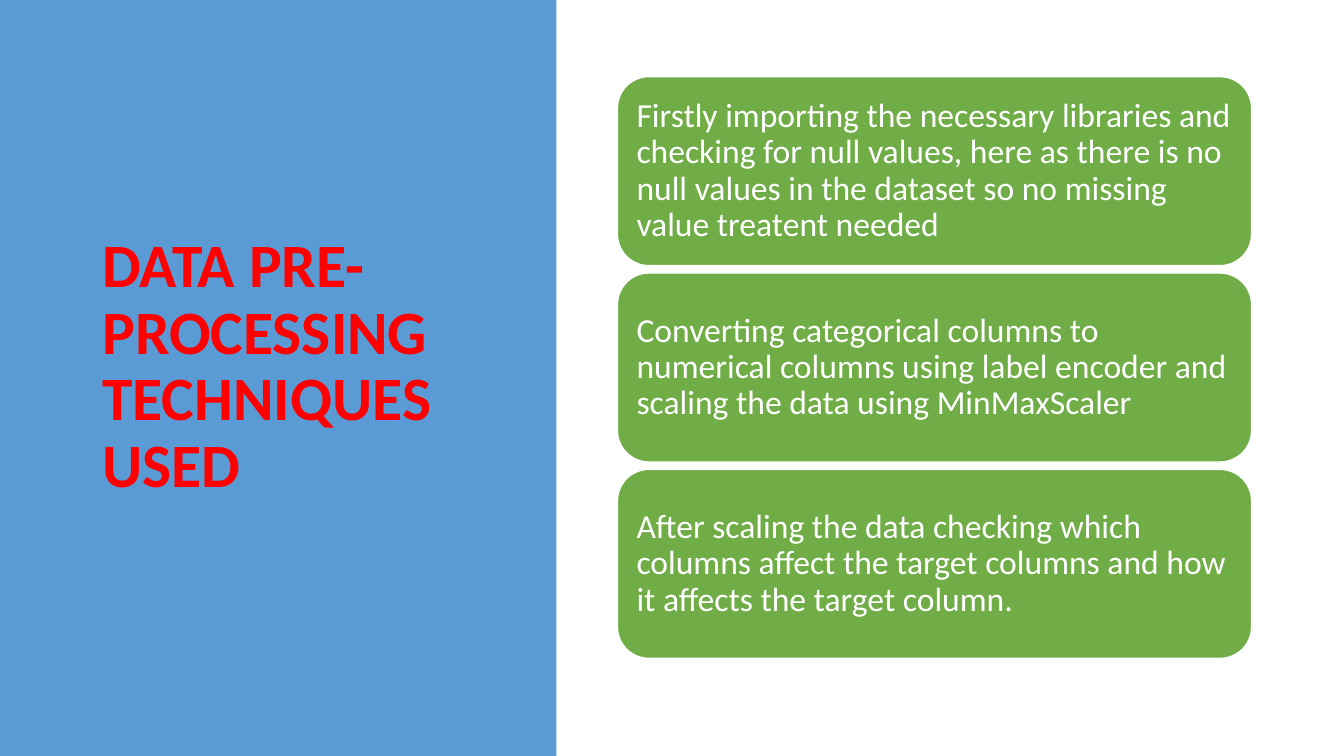
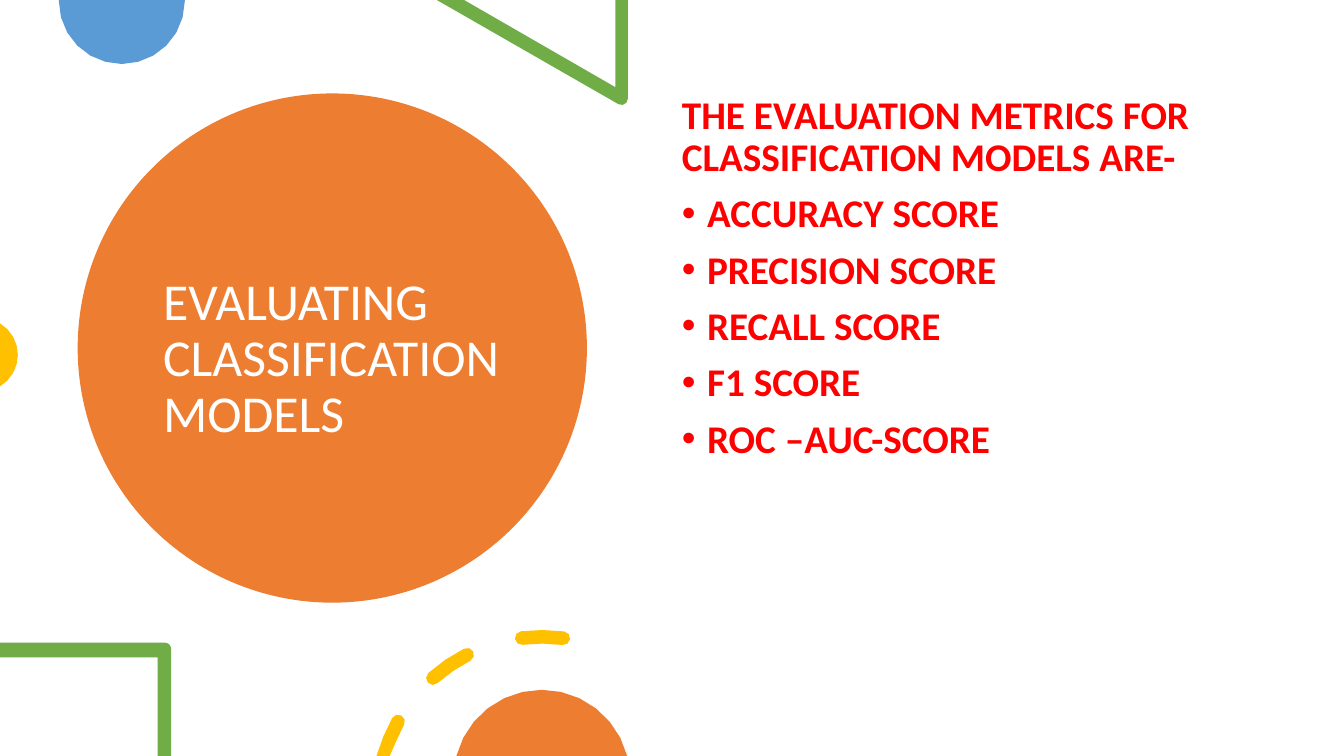
"""Build two slides on data pre-processing and on evaluating classification models."""
from dataclasses import dataclass
from math import cos, radians, sin

from lxml.etree import SubElement
from pptx import Presentation
from pptx.dml.color import RGBColor
from pptx.enum.shapes import MSO_SHAPE
from pptx.enum.text import MSO_ANCHOR, PP_ALIGN
from pptx.oxml.ns import qn
from pptx.util import Pt

PX = 9525
SLIDE_WIDTH, SLIDE_HEIGHT = 1280, 720


@dataclass(frozen=True)
class Theme:
    font: str = "Calibri"
    blue: RGBColor = RGBColor(0x5B, 0x9B, 0xD5)
    green: RGBColor = RGBColor(0x70, 0xAD, 0x47)
    orange: RGBColor = RGBColor(0xED, 0x7D, 0x31)
    yellow: RGBColor = RGBColor(0xFF, 0xC0, 0x00)
    red: RGBColor = RGBColor(0xFF, 0x00, 0x00)
    white: RGBColor = RGBColor(0xFF, 0xFF, 0xFF)
    large_title: Pt = Pt(44)
    circle_title: Pt = Pt(37)
    body: Pt = Pt(28)
    card: Pt = Pt(24)
    line_spacing: float = 0.9


theme = Theme()


def arc(center, radius, start, end, steps):
    """Return points along an arc, with angles in degrees clockwise from the right."""
    angles = [radians(start + (end - start) * step / steps) for step in range(steps + 1)]
    return [(center[0] + radius * cos(angle), center[1] + radius * sin(angle)) for angle in angles]


def write(box, lines, size, color, bold=False, anchor=MSO_ANCHOR.MIDDLE):
    """Fill a box with left-aligned paragraphs in the theme font."""
    frame = box.text_frame
    frame.word_wrap = True
    frame.vertical_anchor = anchor
    frame.text = "\n".join(lines)
    for para in frame.paragraphs:
        para.alignment = PP_ALIGN.LEFT
        para.line_spacing = theme.line_spacing
        for span in para.runs:
            span.font.name = theme.font
            span.font.size = size
            span.font.bold = bold
            span.font.color.rgb = color
    return frame


deck = Presentation()
deck.slide_width, deck.slide_height = SLIDE_WIDTH * PX, SLIDE_HEIGHT * PX
blank = deck.slide_layouts[6]

page = deck.slides.add_slide(blank)
band = page.shapes.add_shape(MSO_SHAPE.RECTANGLE, 0, 0, 530 * PX, SLIDE_HEIGHT * PX)
band.shadow.inherit = False
band.fill.solid()
band.fill.fore_color.rgb = theme.blue
band.line.fill.background()

title = page.shapes.add_textbox(88 * PX, 66 * PX, 396 * PX, 568 * PX)
write(title, ["DATA PRE-PROCESSING TECHNIQUES USED"], theme.large_title, theme.red, bold=True)

techniques = [
    "Firstly importing the necessary libraries and checking for null values, here as there is no "
    "null values in the dataset so no missing value treatent needed",
    "Converting categorical columns to numerical columns using label encoder and scaling the data "
    "using MinMaxScaler",
    "After scaling the data checking which columns affect the target columns and how it affects "
    "the target column.",
]
card_top, card_height, card_gap = 73, 180, 7
for index, technique in enumerate(techniques):
    top = card_top + index * (card_height + card_gap)
    card = page.shapes.add_shape(
        MSO_SHAPE.ROUNDED_RECTANGLE, 588 * PX, top * PX, 604 * PX, card_height * PX)
    card.shadow.inherit = False
    card.fill.solid()
    card.fill.fore_color.rgb = theme.green
    card.line.color.rgb = theme.white
    card.line.width = Pt(1)
    write(card, [technique], theme.card, theme.white)

page = deck.slides.add_slide(blank)
disc = page.shapes.add_shape(MSO_SHAPE.OVAL, 74 * PX, 89 * PX, 485 * PX, 485 * PX)
disc.shadow.inherit = False
disc.fill.solid()
disc.fill.fore_color.rgb = theme.orange
disc.line.fill.background()

title = page.shapes.add_textbox(146 * PX, 129 * PX, 340 * PX, 427 * PX)
write(title, ["EVALUATING CLASSIFICATION MODELS"], theme.circle_title, theme.white)

ring_center, inner_radius, outer_radius = (516, 763), 150, 163
ring_radius, cap_radius = (inner_radius + outer_radius) / 2, (outer_radius - inner_radius) / 2
dashes = []
for start, end in [(195, 209), (228.5, 243), (263, 277.5)]:
    tail, head = arc(ring_center, ring_radius, start, end, 1)
    outline = (
        arc(ring_center, outer_radius, start, end, 2)
        + arc(head, cap_radius, end, end + 180, 4)[1:-1]
        + arc(ring_center, inner_radius, end, start, 2)
        + arc(tail, cap_radius, start + 180, start + 360, 4)[1:-1]
    )
    dashes.append([(x, min(y, SLIDE_HEIGHT)) for x, y in outline])

top_disc = arc((116, 1), 60, 0, 180, 12) + [(56, 0), (176, 0)]
triangle = [(598, 0), (586, 0), (586, 83), (442, 0), (416, 0)] + arc((592, 94), 6, 120, 0, 3)
left_disc = arc((-18, 338), 35, -59, 59, 8)
frame_corner = [(0, 612), (0, 626), (150, 626), (150, 720), (163, 720)]
frame_corner += arc((157, 618), 6, 0, -90, 3)
bottom_disc = arc((516, 741), 84, 194.5, 345.5, 12)

decorations = [
    (theme.blue, [top_disc]),
    (theme.green, [triangle]),
    (theme.yellow, [left_disc]),
    (theme.green, [frame_corner]),
    (theme.yellow, dashes),
    (theme.orange, [bottom_disc]),
]
for color, contours in decorations:
    contours = [[(max(x, 0) * PX, y * PX) for x, y in contour] for contour in contours]
    builder = page.shapes.build_freeform(*contours[0][0])
    for index, contour in enumerate(contours):
        if index:
            builder.move_to(*contour[0])
        builder.add_line_segments(contour[1:], close=True)
    decoration = builder.convert_to_shape()
    decoration.shadow.inherit = False
    decoration.fill.solid()
    decoration.fill.fore_color.rgb = color
    decoration.line.fill.background()

metrics = [
    "THE EVALUATION METRICS FOR CLASSIFICATION MODELS ARE-",
    "ACCURACY SCORE",
    "PRECISION SCORE",
    "RECALL SCORE",
    "F1 SCORE",
    "ROC –AUC-SCORE",
]
body = page.shapes.add_textbox(640 * PX, 86 * PX, 552 * PX, 514 * PX)
frame = write(body, metrics, theme.body, theme.red, bold=True, anchor=MSO_ANCHOR.TOP)
for para in frame.paragraphs[1:]:
    para.space_before = Pt(10)
    properties = para._p.get_or_add_pPr()
    properties.set("marL", str(24 * PX))
    properties.set("indent", str(-24 * PX))
    SubElement(properties, qn("a:buFont")).set("typeface", "Arial")
    SubElement(properties, qn("a:buChar")).set("char", "•")

deck.save("out.pptx")
